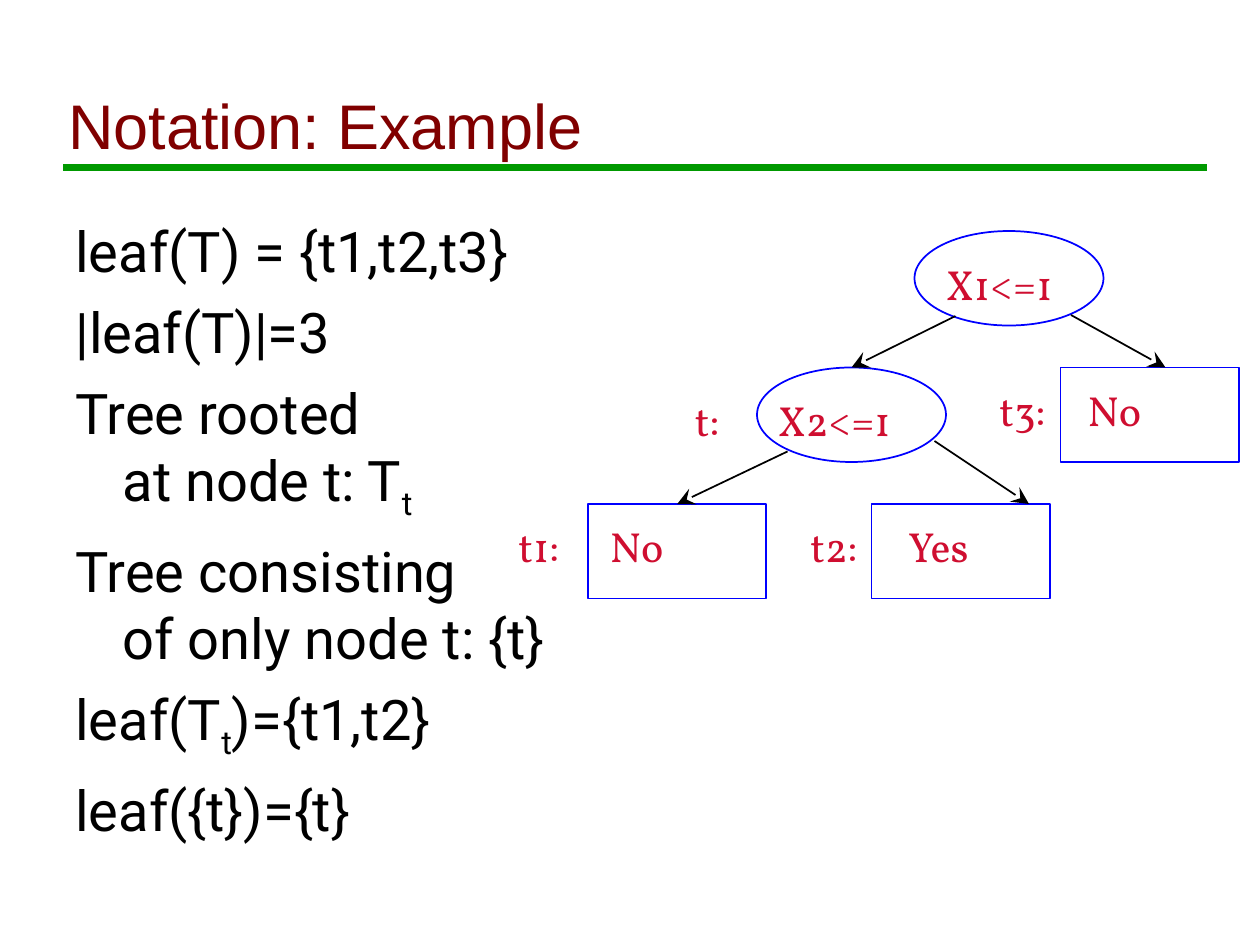
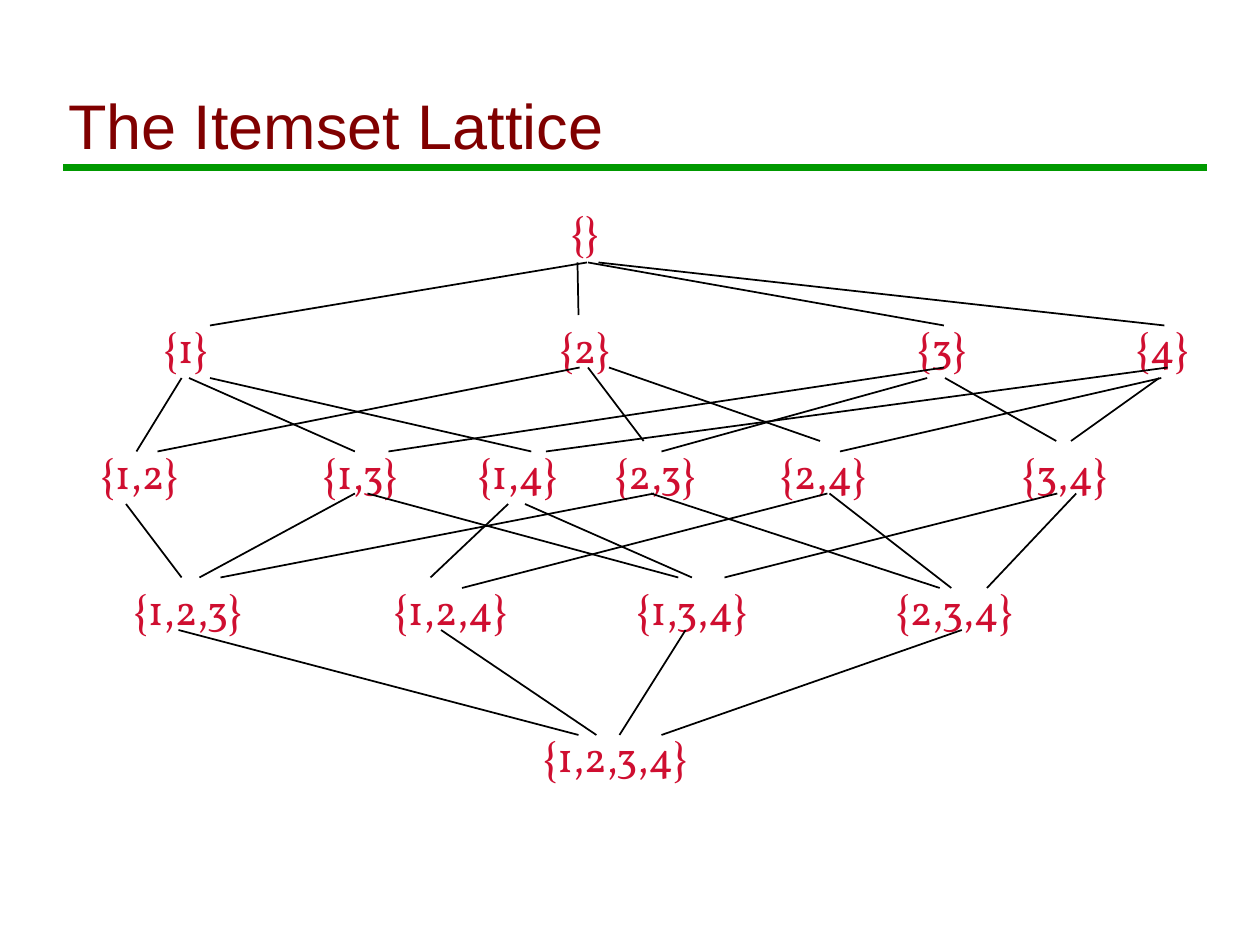
from dataclasses import dataclass
from itertools import combinations

from lxml.etree import SubElement
from pptx import Presentation
from pptx.dml.color import RGBColor
from pptx.enum.shapes import MSO_CONNECTOR as Connector, MSO_SHAPE as Preset
from pptx.enum.text import MSO_ANCHOR as Anchor, MSO_AUTO_SIZE as AutoSize, PP_ALIGN as Align
from pptx.oxml.ns import qn
from pptx.util import Inches, Pt

COLUMNS, ROWS = 120, 90
CELL = Inches(10) // COLUMNS


@dataclass(frozen=True)
class TextStyle:
    """Font, size and colour of a kind of text."""
    font: str
    size: int
    color: str


@dataclass(frozen=True)
class Theme:
    """Colours and type sizes shared by the slides."""
    title: TextStyle = TextStyle("Arial", 36, "800000")
    body: TextStyle = TextStyle("Roboto", 32, "000000")
    label: TextStyle = TextStyle("Vollkorn", 24, "CF0E30")
    rule: str = "009900"
    rule_width: int = 4
    edge: str = "000000"
    node: str = "0000FF"
    thin: int = 1
    paragraph_gap: int = 8


@dataclass(frozen=True)
class Box:
    """A region of the slide, measured in grid cells."""
    left: float
    top: float
    width: float
    height: float

    def inner(self, left, top, width, height):
        """Return a box placed relative to this one."""
        return Box(self.left + left, self.top + top, width, height)

    def point(self, column, row):
        """Return slide coordinates of a point in this box."""
        return cells(self.left + column), cells(self.top + row)

    def frame(self):
        """Return left, top, width and height as slide lengths."""
        return (*self.point(0, 0), cells(self.width), cells(self.height))


THEME = Theme()
SLIDE = Box(0, 0, COLUMNS, ROWS)
TITLE = SLIDE.inner(5.3, 3, 107.6, 13)
BODY = SLIDE.inner(6, 20, 107.3, 61)
TREE = SLIDE.inner(45, 22, 73, 35)
LATTICE = SLIDE.inner(6, 19, 109, 56)

STATEMENTS = [
    [("leaf(T) = {t1,t2,t3}", False)],
    [("|leaf(T)|=3", False)],
    [("Tree rooted\nat node t: T", False), ("t", True)],
    [("Tree consisting\nof only node t: {t}", False)],
    [("leaf(T", False), ("t", True), (")={t1,t2}", False)],
    [("leaf({t})={t}", False)],
]

ELLIPSE, RECTANGLE = (Preset.OVAL, 18, 9), (Preset.RECTANGLE, 17, 9)
TREE_NODES = {
    "root": (ELLIPSE, 42.1, 0),
    "t": (ELLIPSE, 27.1, 13),
    "t1": (RECTANGLE, 11, 26),
    "t2": (RECTANGLE, 38, 26),
    "t3": (RECTANGLE, 56, 13),
}
TREE_LABELS = [
    ("X1<=1", 43.9, 2, 14, None),
    ("t:\tX2<=1", 20, 15, 24, 7.9),
    ("t1:\tNo", 3.2, 27, 20, 8.7),
    ("t2:\tYes", 31, 27, 23, 9.3),
    ("t3:\tNo", 49, 14, 20, 8.4),
]
TREE_ARROWS = [
    ((46, 8.1), (36, 13), "t"),
    ((30, 21), (20, 26), "t1"),
    ((57, 8), (66, 13), None),
    ((44, 20), (53, 26), None),
]

LATTICE_TOPS = [0, 11, 23, 36, 50]
LATTICE_WIDTHS = [5.8, 8, 11.3, 14.5, 17.8]
LATTICE_CENTERS = [
    [49.7],
    [11.7, 49.7, 83.7, 104.7],
    [7.3, 28.3, 43.3, 56.4, 72.4, 95.4],
    [11.9, 36.9, 59.9, 84.9],
    [52.6],
]
LATTICE_EDGES = {
    (6, 12): [(49.9, 14), (50, 83.9), (51, 104.9)],
    (6, 11): [(49, 49.1)],
    (17, 24): [(11.3, 7), (12, 27.8), (14, 44.6), (82.3, 57), (104.6, 74)],
    (16, 23): [(50, 55.3), (52, 72.1)],
    (17, 23): [(84, 94.6), (104.4, 96)],
    (16, 24): [(49.2, 9), (83.9, 31), (105.2, 46)],
    (29, 36): [(6, 11.3), (42.4, 35), (44, 59.9)],
    (28, 36): [(27.8, 13), (56.3, 15), (29, 58.6), (94.7, 63)],
    (28, 37): [(56, 83.5), (72.8, 38), (73, 84.6), (96.5, 88)],
    (41, 51): [(11, 49.1), (36, 50.8), (59.3, 53), (85.6, 57)],
}


def cells(count):
    """Convert grid cells to a slide length."""
    return round(count * CELL)


def add_span(para, text, style, subscript=False):
    """Add one styled run to a paragraph."""
    span = para.add_run()
    span.text = text
    span.font.name = style.font
    span.font.size = Pt(style.size)
    span.font.color.rgb = RGBColor.from_string(style.color)
    if subscript:
        span.font._element.set("baseline", "-25000")


def add_text_frame(page, box, wrap=True):
    """Add an empty text box and return its frame."""
    frame = page.shapes.add_textbox(*box.frame()).text_frame
    frame.word_wrap = wrap
    return frame


def add_label(page, box, text, align=Align.LEFT, tab=None):
    """Add a one-line diagram label, with a tab stop if given."""
    frame = add_text_frame(page, box, wrap=tab is not None)
    frame.auto_size = AutoSize.SHAPE_TO_FIT_TEXT
    para = frame.paragraphs[0]
    para.alignment = align
    if tab is not None:
        stops = SubElement(para._p.get_or_add_pPr(), qn("a:tabLst"))
        SubElement(stops, qn("a:tab"), pos=str(cells(tab)), algn="l")
    add_span(para, text, THEME.label)


def add_line(page, box, start, end, color=THEME.edge, width=THEME.thin):
    """Draw a straight line between two points of a box."""
    line = page.shapes.add_connector(
        Connector.STRAIGHT, *box.point(*start), *box.point(*end))
    line.line.color.rgb = RGBColor.from_string(color)
    line.line.width = Pt(width)
    SubElement(line._element.spPr, qn("a:effectLst"))
    return line


def add_title(page, box, text):
    """Place the slide title above its green rule."""
    add_line(page, SLIDE, (6, 16), (115, 16), THEME.rule, THEME.rule_width)
    frame = add_text_frame(page, box)
    frame.vertical_anchor = Anchor.BOTTOM
    add_span(frame.paragraphs[0], text, THEME.title)


def add_statements(page, box, statements):
    """Write the statements with hanging indents."""
    frame = add_text_frame(page, box)
    for index, statement in enumerate(statements):
        para = frame.add_paragraph() if index else frame.paragraphs[0]
        para.space_before = Pt(THEME.paragraph_gap if index else 0)
        properties = para._p.get_or_add_pPr()
        properties.set("marL", str(cells(4.5)))
        properties.set("indent", str(cells(-4.5)))
        for text, subscript in statement:
            for number, part in enumerate(text.split("\n")):
                if number:
                    para.add_line_break()
                add_span(para, part, THEME.body, subscript)


def add_tree(page, box):
    """Draw the decision tree with its arrows and labels."""
    nodes = {}
    for name, ((preset, width, height), left, top) in TREE_NODES.items():
        node = page.shapes.add_shape(
            preset, *box.inner(left, top, width, height).frame())
        node.shadow.inherit = False
        node.fill.background()
        node.line.color.rgb = RGBColor.from_string(THEME.node)
        node.line.width = Pt(THEME.thin)
        nodes[name] = node
    for start, end, target in TREE_ARROWS:
        arrow = add_line(page, box, start, end)
        SubElement(arrow.line._get_or_add_ln(), qn("a:tailEnd"),
                   type="stealth", w="lg", len="lg")
        if target:
            arrow.end_connect(nodes[target], 0)
    for text, left, top, width, tab in TREE_LABELS:
        add_label(page, box.inner(left, top, width, 6), text, tab=tab)


def add_lattice(page, box):
    """Draw every itemset by size and the edges between levels."""
    levels = zip(LATTICE_TOPS, LATTICE_WIDTHS, LATTICE_CENTERS)
    for size, (top, width, centers) in enumerate(levels):
        for center, items in zip(centers, combinations("1234", size)):
            add_label(page, box.inner(center - width / 2, top, width, 6),
                      "{" + ",".join(items) + "}", Align.CENTER)
    for (upper, lower), edges in LATTICE_EDGES.items():
        for start, end in edges:
            add_line(page, box, (start, upper), (end, lower))


def add_page(deck, title):
    """Add a blank slide with the shared title."""
    page = deck.slides.add_slide(deck.slide_layouts[6])
    add_title(page, TITLE, title)
    return page


def main():
    """Build and save the deck."""
    deck = Presentation()
    deck.slide_width, deck.slide_height = cells(COLUMNS), cells(ROWS)
    notation = add_page(deck, "Notation: Example")
    add_statements(notation, BODY, STATEMENTS)
    add_tree(notation, TREE)
    add_lattice(add_page(deck, "The Itemset Lattice"), LATTICE)
    deck.save("out.pptx")


if __name__ == "__main__":
    main()
